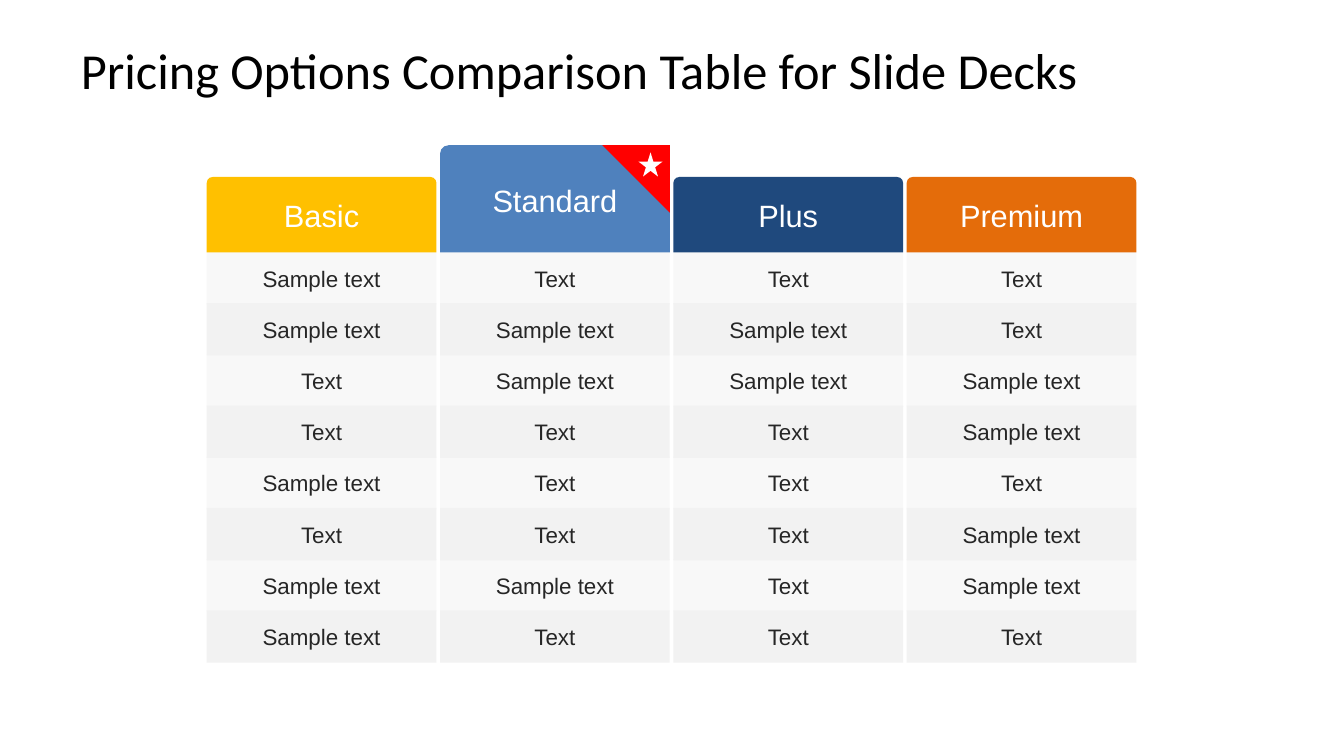
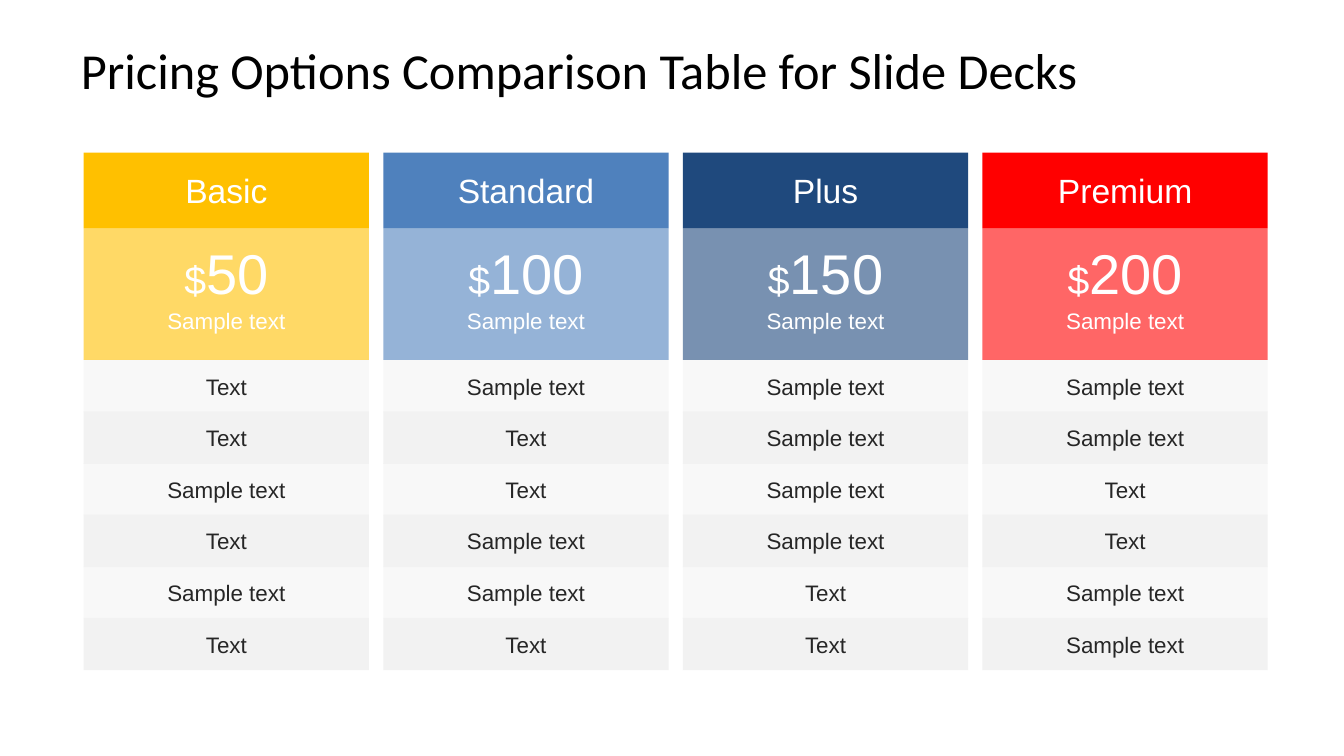
from dataclasses import dataclass

from lxml.etree import SubElement
from pptx import Presentation
from pptx.dml.color import RGBColor
from pptx.enum.shapes import MSO_SHAPE as Preset
from pptx.enum.text import MSO_ANCHOR as Anchor, PP_ALIGN as Align
from pptx.oxml.ns import qn
from pptx.shapes.autoshape import Shape
from pptx.slide import Slide
from pptx.util import Cm, Pt

TITLE = "Pricing Options Comparison Table for Slide Decks"
WHITE, BLACK, DARK_GREY, LIGHT_GREY = "FFFFFF", "000000", "262626", "F2F2F2"
AMBER, BLUE, NAVY, ORANGE, RED = "FFC000", "4F81BD", "1F497D", "E46C0A", "FF0000"
SAMPLE, TEXT = "Sample text", "Text"

ROW_HEIGHT = 1.32
HEADER_HEIGHT = 1.9


@dataclass
class Plan:
    name: str
    color: str
    features: list[str]
    price: str = ""
    featured: bool = False


@dataclass
class Grid:
    """Column and row positions of a pricing table, in centimetres."""
    left: float
    column_step: float
    column_width: float
    header_top: float
    rows_top: float
    row_step: float

    def column_left(self, column: int) -> float:
        return self.left + column * self.column_step


RIBBON_GRID = Grid(5.21, 5.88, 5.79, 4.46, 6.35, 1.29)
RIBBON_PLANS = [
    Plan("Basic", AMBER, [SAMPLE, SAMPLE, TEXT, TEXT, SAMPLE, TEXT, SAMPLE, SAMPLE]),
    Plan("Standard", BLUE, [TEXT, SAMPLE, SAMPLE, TEXT, TEXT, TEXT, SAMPLE, TEXT],
         featured=True),
    Plan("Plus", NAVY, [TEXT, SAMPLE, SAMPLE, TEXT, TEXT, TEXT, TEXT, TEXT]),
    Plan("Premium", ORANGE, [TEXT, TEXT, SAMPLE, SAMPLE, TEXT, SAMPLE, SAMPLE, TEXT]),
]

PRICE_GRID = Grid(2.11, 7.55, 7.19, 3.85, 9.07, 1.3)
PRICE_PLANS = [
    Plan("Basic", AMBER, [TEXT, TEXT, SAMPLE, TEXT, SAMPLE, TEXT], "50"),
    Plan("Standard", BLUE, [SAMPLE, TEXT, TEXT, SAMPLE, SAMPLE, TEXT], "100"),
    Plan("Plus", NAVY, [SAMPLE, SAMPLE, SAMPLE, SAMPLE, TEXT, TEXT], "150"),
    Plan("Premium", RED, [SAMPLE, SAMPLE, TEXT, TEXT, SAMPLE, SAMPLE], "200"),
]


def rgb(color: str) -> RGBColor:
    return RGBColor.from_string(color)


def write(shape: Shape, text: str, *, size: float, color: str = WHITE,
          font: str = "Arial", align: Align = Align.CENTER) -> None:
    """Append a formatted run to the shape's first paragraph."""
    paragraph = shape.text_frame.paragraphs[0]
    paragraph.alignment = align
    run = paragraph.add_run()
    run.text = text
    run.font.size = Pt(size)
    run.font.name = font
    run.font.color.rgb = rgb(color)


def add_block(slide: Slide, left: float, top: float, width: float, height: float,
              color: str, preset: Preset = Preset.RECTANGLE, opacity: int = 100) -> Shape:
    block = slide.shapes.add_shape(preset, Cm(left), Cm(top), Cm(width), Cm(height))
    block.shadow.inherit = False
    block.line.fill.background()
    block.fill.solid()
    block.fill.fore_color.rgb = rgb(color)
    if opacity < 100:
        fill_color = block.element.spPr.find(qn("a:solidFill"))[0]
        SubElement(fill_color, qn("a:alpha"), val=str(opacity * 1000))
    frame = block.text_frame
    frame.word_wrap = True
    frame.vertical_anchor = Anchor.MIDDLE
    frame.margin_left = frame.margin_right = 0
    return block


def add_label(slide: Slide, center: float, top: float, width: float, height: float) -> Shape:
    label = slide.shapes.add_textbox(Cm(center - width / 2), Cm(top), Cm(width), Cm(height))
    label.text_frame.word_wrap = False
    return label


def add_title(slide: Slide) -> None:
    title = slide.shapes.add_textbox(Cm(1.7), Cm(0.76), Cm(30.48), Cm(1.98))
    frame = title.text_frame
    frame.word_wrap = True
    frame.vertical_anchor = Anchor.MIDDLE
    frame.margin_left = frame.margin_right = Cm(0.34)
    frame.margin_top = frame.margin_bottom = Cm(0.17)
    write(title, TITLE, size=36, color=BLACK, font="Calibri", align=Align.LEFT)


def add_features(slide: Slide, grid: Grid, column: int, features: list[str]) -> None:
    for row, feature in enumerate(features):
        cell = add_block(slide, grid.column_left(column), grid.rows_top + row * grid.row_step,
                         grid.column_width, ROW_HEIGHT, LIGHT_GREY,
                         opacity=100 if row % 2 else 50)
        write(cell, feature, size=16, color=DARK_GREY)


def add_ribbon_header(slide: Slide, grid: Grid, column: int, plan: Plan) -> None:
    """Draw a rounded header; the featured plan's is taller, with a starred corner."""
    left = grid.column_left(column)
    rise = 0.8 if plan.featured else 0
    top = grid.header_top - rise
    header = add_block(slide, left, top, grid.column_width, HEADER_HEIGHT + rise,
                       plan.color, Preset.ROUND_2_SAME_RECTANGLE)
    header.adjustments[0] = 0.08
    write(header, plan.name, size=22)
    if plan.featured:
        right = left + grid.column_width
        corner_size, star_size, star_gap = 1.7, 0.61, 0.18
        corner = add_block(slide, right - corner_size, top, corner_size, corner_size,
                           RED, Preset.RIGHT_TRIANGLE)
        corner.rotation = 180
        add_block(slide, right - star_gap - star_size, top + star_gap,
                  star_size, star_size, WHITE, Preset.STAR_5_POINT)


def add_price_header(slide: Slide, grid: Grid, column: int, plan: Plan) -> None:
    left, width = grid.column_left(column), grid.column_width
    header = add_block(slide, left, grid.header_top, width, HEADER_HEIGHT, plan.color)
    write(header, plan.name, size=24)

    panel_top = grid.header_top + HEADER_HEIGHT
    add_block(slide, left, panel_top, width, grid.rows_top - panel_top, plan.color, opacity=60)
    center = left + width / 2
    price = add_label(slide, center, panel_top + 0.14, 1.11 + 0.78 * len(plan.price), 1.96)
    write(price, "$", size=28)
    write(price, plan.price, size=40)
    caption = add_label(slide, center, panel_top + 1.87, 3.53, 0.94)
    write(caption, SAMPLE, size=16)


def main() -> None:
    deck = Presentation()
    deck.slide_width, deck.slide_height = Cm(33.87), Cm(19.05)
    tables = [(RIBBON_GRID, RIBBON_PLANS, add_ribbon_header),
              (PRICE_GRID, PRICE_PLANS, add_price_header)]
    for grid, plans, add_header in tables:
        slide = deck.slides.add_slide(deck.slide_layouts[6])
        add_title(slide)
        for column, plan in enumerate(plans):
            add_features(slide, grid, column, plan.features)
            add_header(slide, grid, column, plan)
    deck.save("out.pptx")


if __name__ == "__main__":
    main()
